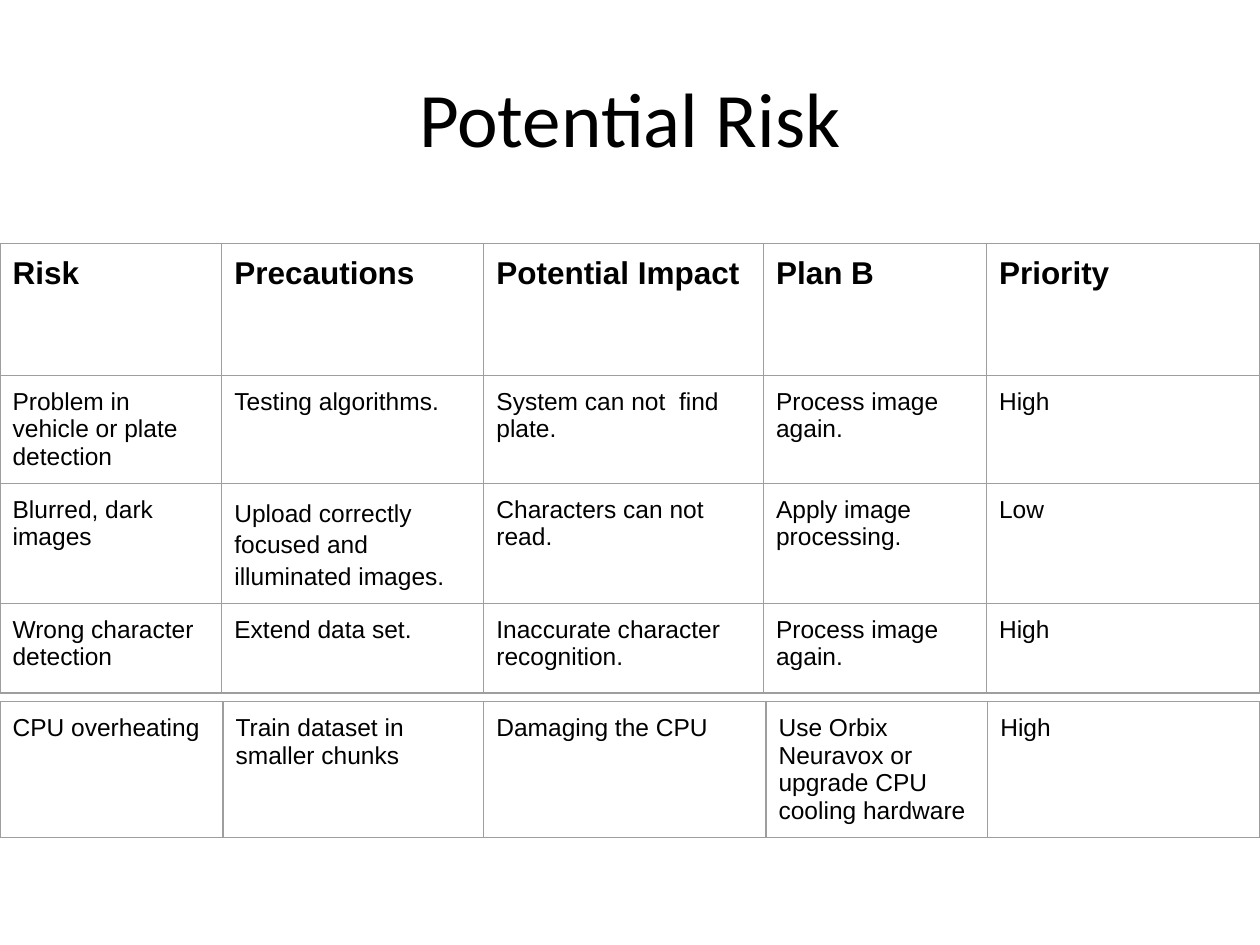
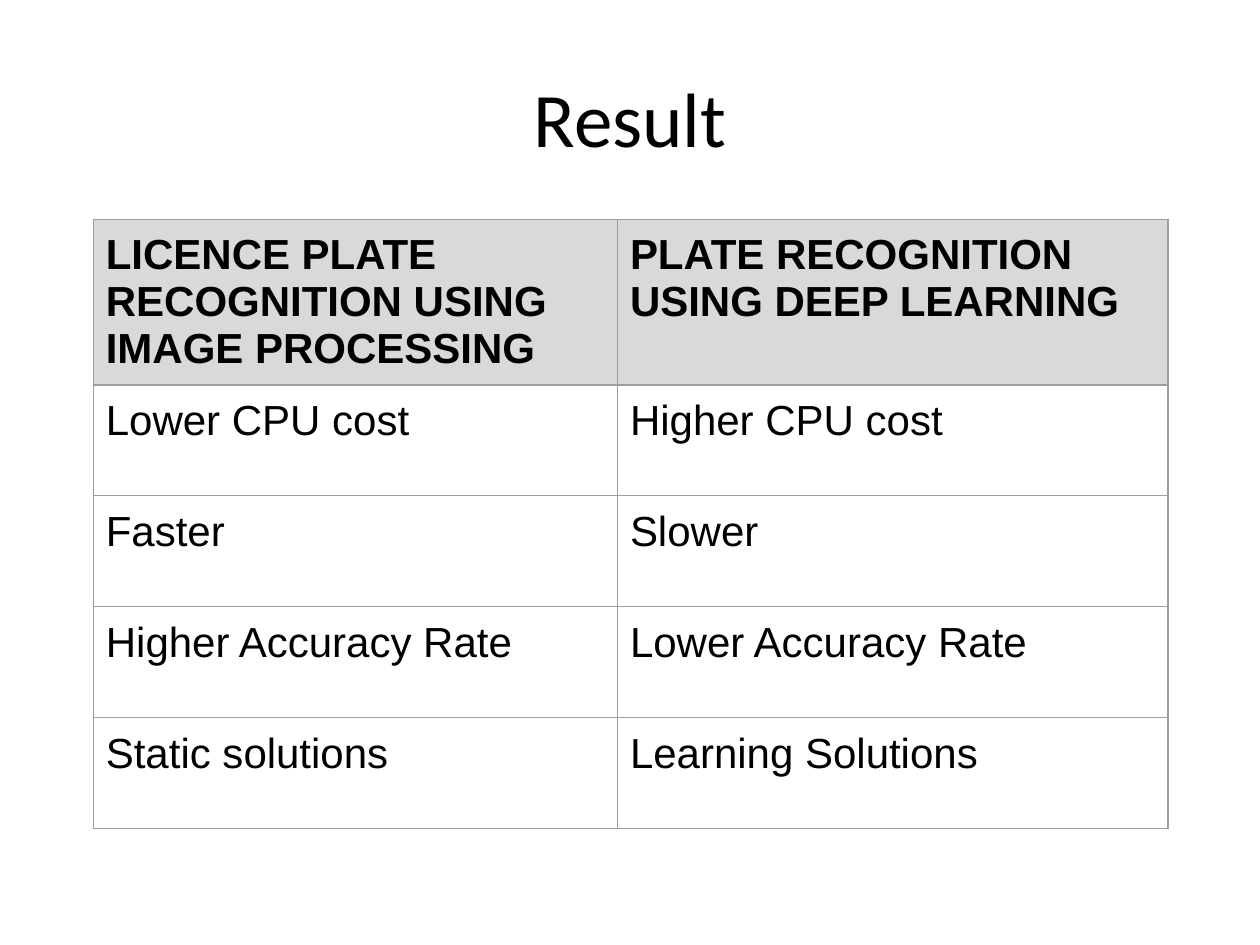
from dataclasses import dataclass

import lxml.etree
import pptx
import pptx.dml.color
import pptx.enum.text
import pptx.oxml.ns
import pptx.presentation
import pptx.slide
import pptx.table
import pptx.util

Inches = pptx.util.Inches
Pt = pptx.util.Pt
RGBColor = pptx.dml.color.RGBColor

BLACK = RGBColor(0x00, 0x00, 0x00)
BORDER_GREY = RGBColor(0x9E, 0x9E, 0x9E)
HEADER_GREY = RGBColor(0xD9, 0xD9, 0xD9)
TITLE_FONT = "Calibri"
TABLE_FONT = "Arial"
TITLE_SIZE = 44
CELL_MARGIN = Inches(0.1)
BORDER_WIDTH = Pt(0.75)
TITLE_ONLY_LAYOUT = 5


@dataclass(frozen=True)
class TextTable:
    """A bordered table; lengths are in inches and text sizes in points."""
    left: float
    top: float
    column_widths: tuple[float, ...]
    row_heights: tuple[float, ...]
    rows: tuple[tuple[str, ...], ...]
    body_size: float
    header_size: float | None = None
    header_fill: RGBColor | None = None
    loose_cell: tuple[int, int] | None = None  # row and column set at 1.15 lines


RISK_TABLE = TextTable(
    left=0, top=1.93,
    column_widths=(1.76, 2.08, 2.22, 1.77, 2.17),
    row_heights=(1.05, 0.71, 0.8, 0.71),
    rows=(
        ("Risk", "Precautions", "Potential Impact", "Plan B", "Priority"),
        ("Problem in vehicle or plate detection", "Testing algorithms.",
         "System can not  find plate.", "Process image again.", "High"),
        ("Blurred, dark images", "Upload correctly focused and illuminated images.",
         "Characters can not read.", "Apply image processing.", "Low"),
        ("Wrong character\ndetection", "Extend data set.",
         "Inaccurate character recognition.", "Process image again.", "High"),
    ),
    body_size=14, header_size=18, loose_cell=(2, 1),
)

OVERHEATING_TABLE = TextTable(
    left=0, top=5.57,
    column_widths=(1.77, 2.07, 2.24, 1.76, 2.16),
    row_heights=(0.94,),
    rows=(
        ("CPU overheating", "Train dataset in smaller chunks", "Damaging the CPU",
         "Use Orbix Neuravox or upgrade CPU cooling hardware", "High"),
    ),
    body_size=14,
)

RESULT_TABLE = TextTable(
    left=0.74, top=1.74,
    column_widths=(4.16, 4.37),
    row_heights=(1.31,) + (0.88,) * 4,
    rows=(
        ("LICENCE PLATE RECOGNITION USING IMAGE PROCESSING",
         "PLATE RECOGNITION USING DEEP LEARNING"),
        ("Lower CPU cost", "Higher CPU cost"),
        ("Faster", "Slower"),
        ("Higher Accuracy Rate", "Lower Accuracy Rate"),
        ("Static solutions", "Learning Solutions"),
    ),
    body_size=24, header_size=24, header_fill=HEADER_GREY,
)

SLIDES = (
    ("Potential Risk", (RISK_TABLE, OVERHEATING_TABLE)),
    ("Result", (RESULT_TABLE,)),
)


def add_run(paragraph, text: str, font_name: str, size: float, bold: bool = False) -> None:
    run = paragraph.add_run()
    run.text = text
    run.font.name = font_name
    run.font.size = Pt(size)
    run.font.bold = bold
    run.font.color.rgb = BLACK


def add_titled_slide(presentation: pptx.presentation.Presentation,
                     text: str) -> pptx.slide.Slide:
    slide = presentation.slides.add_slide(presentation.slide_layouts[TITLE_ONLY_LAYOUT])
    title = slide.shapes.title
    title.left, title.top = Inches(0.5), Inches(0.3)
    title.width, title.height = Inches(9), Inches(1.25)
    title.text_frame.vertical_anchor = pptx.enum.text.MSO_ANCHOR.MIDDLE
    paragraph = title.text_frame.paragraphs[0]
    paragraph.alignment = pptx.enum.text.PP_ALIGN.CENTER
    add_run(paragraph, text, TITLE_FONT, TITLE_SIZE)
    return slide


def set_borders(cell: pptx.table._Cell) -> None:
    qualified = pptx.oxml.ns.qn
    properties = cell._tc.get_or_add_tcPr()
    for index, side in enumerate(("a:lnL", "a:lnR", "a:lnT", "a:lnB")):
        line = lxml.etree.Element(qualified(side), w=str(BORDER_WIDTH))
        fill = lxml.etree.SubElement(line, qualified("a:solidFill"))
        lxml.etree.SubElement(fill, qualified("a:srgbClr"), val=str(BORDER_GREY))
        properties.insert(index, line)


def fill_cell(cell: pptx.table._Cell, text: str, size: float, bold: bool,
              fill: RGBColor | None, line_spacing: float | None) -> None:
    cell.margin_left = cell.margin_right = CELL_MARGIN
    cell.margin_top = cell.margin_bottom = CELL_MARGIN
    if fill is None:
        cell.fill.background()
    else:
        cell.fill.solid()
        cell.fill.fore_color.rgb = fill
    set_borders(cell)
    for index, line in enumerate(text.split("\n")):
        frame = cell.text_frame
        paragraph = frame.add_paragraph() if index else frame.paragraphs[0]
        paragraph.line_spacing = line_spacing
        add_run(paragraph, line, TABLE_FONT, size, bold)


def add_text_table(slide: pptx.slide.Slide, content: TextTable) -> None:
    table = slide.shapes.add_table(
        len(content.rows), len(content.column_widths),
        Inches(content.left), Inches(content.top),
        Inches(sum(content.column_widths)), Inches(sum(content.row_heights)),
    ).table
    table.first_row = table.horz_banding = False
    for column, width in zip(table.columns, content.column_widths):
        column.width = Inches(width)
    for row, height in zip(table.rows, content.row_heights):
        row.height = Inches(height)
    for row_index, texts in enumerate(content.rows):
        is_header = row_index == 0 and content.header_size is not None
        for column_index, text in enumerate(texts):
            is_loose = (row_index, column_index) == content.loose_cell
            fill_cell(
                table.cell(row_index, column_index), text,
                size=content.header_size if is_header else content.body_size,
                bold=is_header,
                fill=content.header_fill if is_header else None,
                line_spacing=1.15 if is_loose else None,
            )


def main() -> None:
    presentation = pptx.Presentation()
    presentation.slide_width = Inches(10)
    presentation.slide_height = Inches(7.5)
    for title, tables in SLIDES:
        slide = add_titled_slide(presentation, title)
        for content in tables:
            add_text_table(slide, content)
    presentation.save("out.pptx")


if __name__ == "__main__":
    main()
